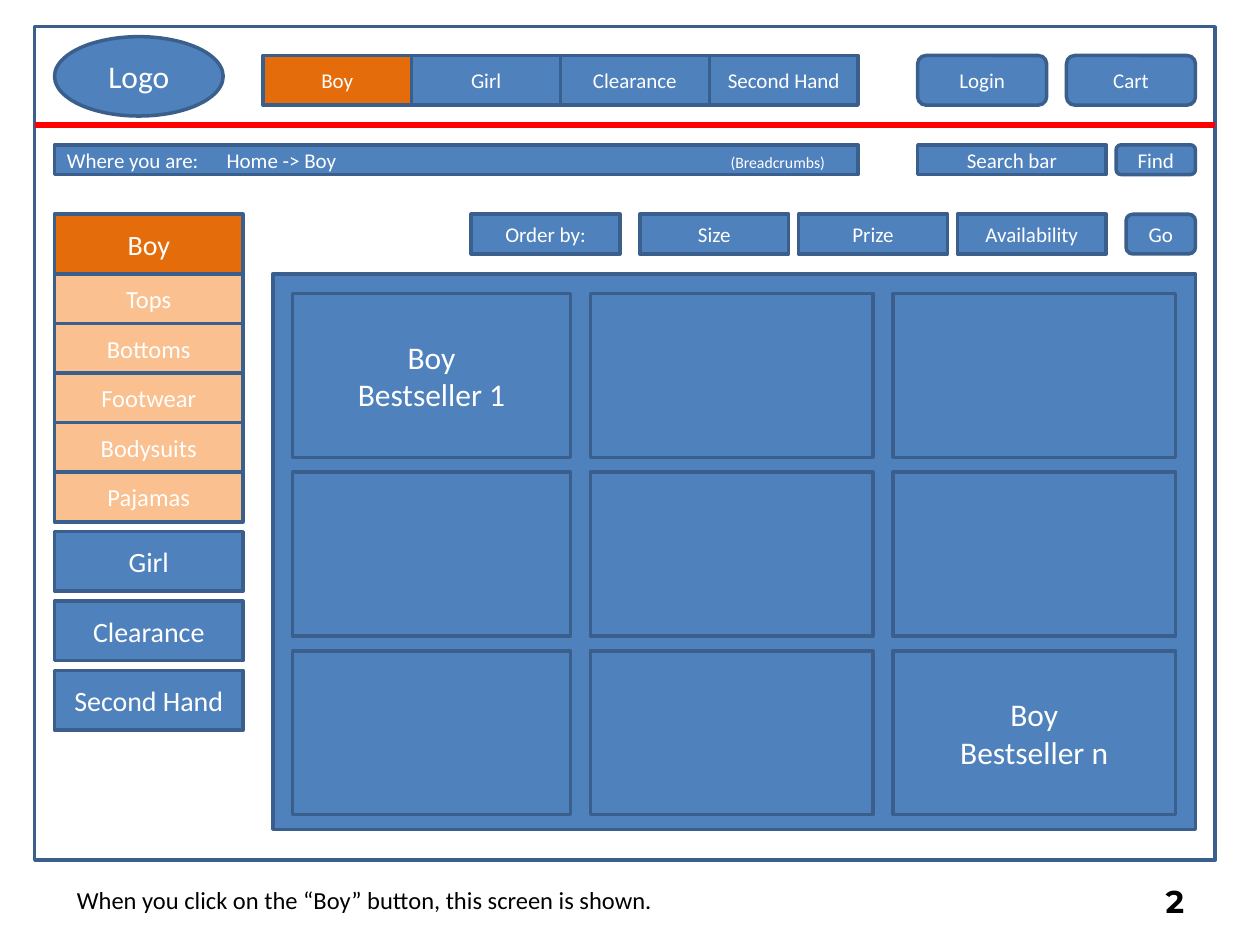
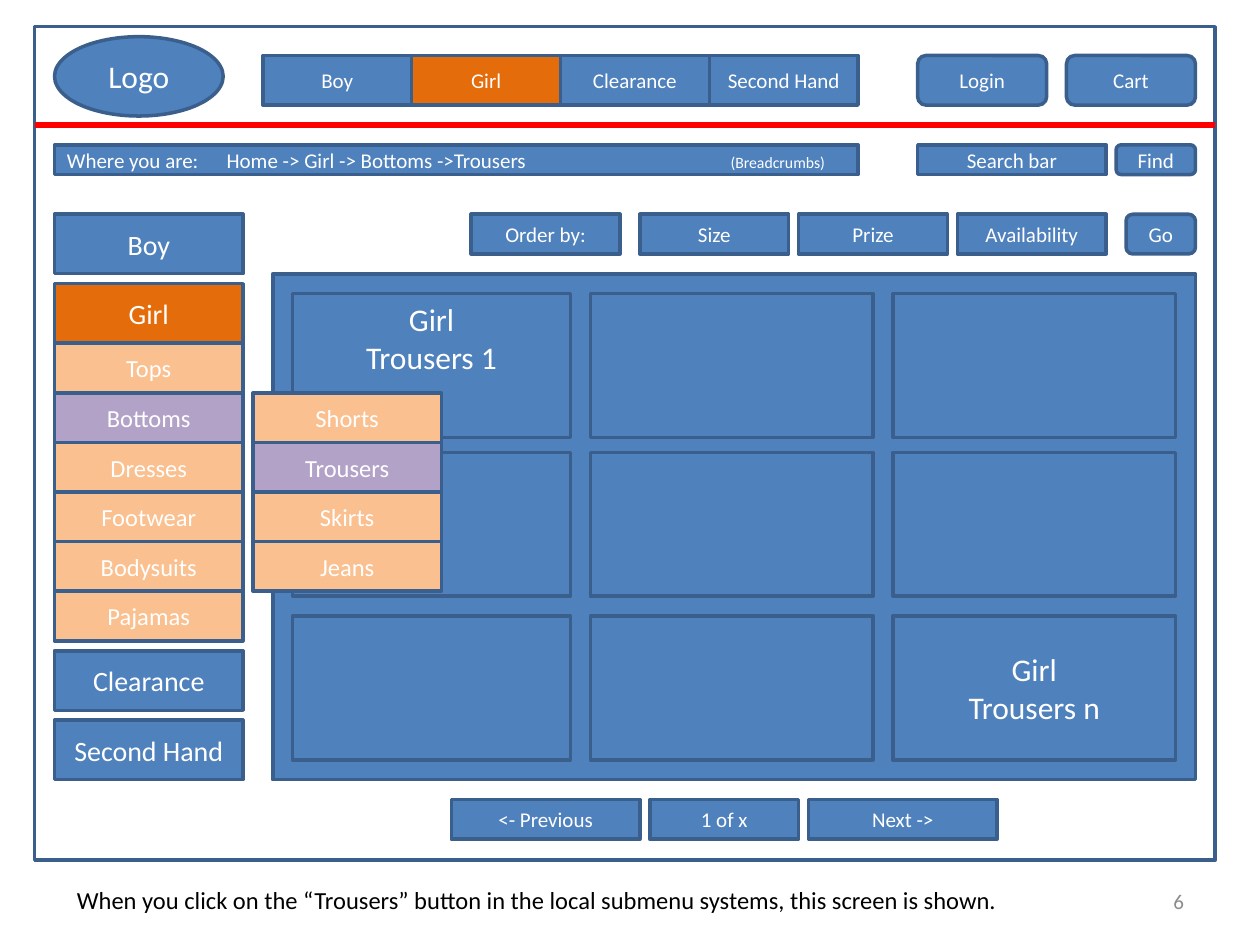
from lxml import etree
from pptx import Presentation
from pptx.dml.color import RGBColor
from pptx.enum.shapes import MSO_CONNECTOR as Link, MSO_SHAPE as Shape
from pptx.enum.text import MSO_ANCHOR as Anchor, PP_ALIGN as Align
from pptx.oxml.ns import qn
from pptx.util import Inches, Pt

PX = 7200  # EMU in one px, so 127 px make an inch
HUES = {"base": "4F81BD", "edge": "3A5F8C", "active": "E46C0A",
        "sub": "FAC090", "picked": "B3A2C7", "rule": "FF0000",
        "light": "FFFFFF", "dark": "000000", "muted": "8C8C8C"}

SCREENS = [
    {"active": "Boy", "crumbs": "Home -> Boy",
     "subs": ["Tops", "Bottoms", "Footwear", "Bodysuits", "Pajamas"],
     "picked": [], "flyout": None, "pager": [],
     "panel": 560, "rows": (296, 476, 656), "cell": 165,
     "item": "Boy\nBestseller",
     "note": "When you click on the “Boy” button, this screen is shown.",
     "page": "2",
     "mark": {"name": "Montserrat", "size": Pt(18), "bold": True},
     "ink": "dark"},
    {"active": "Girl", "crumbs": "Home -> Girl -> Bottoms ->Trousers",
     "subs": ["Tops", "Bottoms", "Dresses", "Footwear", "Bodysuits",
              "Pajamas"],
     "picked": ["Bottoms", "Trousers"],
     "flyout": ("Bottoms", ["Shorts", "Trousers", "Skirts", "Jeans"]),
     "pager": [("<- Previous", 190), ("1 of x", 150), ("Next ->", 190)],
     "panel": 510, "rows": (296, 456, 621), "cell": 145,
     "item": "Girl\nTrousers",
     "note": "When you click on the “Trousers” button in the local "
             "submenu systems, this screen is shown.",
     "page": "6",
     "mark": {"name": "Calibri", "size": Pt(12), "bold": False},
     "ink": "muted"},
]
MENU = ["Boy", "Girl", "Clearance", "Second Hand"]
# label, left, top, width, height
BOXES = [("Search bar", 925, 146, 190, 30),
         ("Order by:", 475, 216, 150, 40),
         ("Size", 645, 216, 150, 40),
         ("Prize", 805, 216, 150, 40),
         ("Availability", 965, 216, 150, 40)]
BUTTONS = [("Login", 925, 56, 130, 50),
           ("Cart", 1075, 56, 130, 50),
           ("Find", 1125, 146, 80, 30),
           ("Go", 1135, 216, 70, 40)]
COLS = [(295, 280), (595, 285), (900, 285)]
LEFT, SIDE, GAP = 55, 190, 10
HEAD, SUB = 60, 50
TABS = [(161, "l"), (764, "r")]


def rgb(hue):
    return RGBColor.from_string(HUES[hue])


def scale(*nums):
    return [n * PX for n in nums]


def style(run, hue, **form):
    for key, val in ({"name": "Calibri"} | form).items():
        setattr(run.font, key, val)
    run.font.color.rgb = rgb(hue)


def write(frame, text, hue, align, **form):
    for i, line in enumerate(text.split("\n")):
        para = frame.add_paragraph() if i else frame.paragraphs[0]
        para.alignment = align
        run = para.add_run()
        run.text = line
        style(run, hue, **form)


def box(slide, text, x, y, w, h, size=12, hue="base", kind=Shape.RECTANGLE):
    """Add an outlined shape with a centred label; no hue leaves it hollow."""
    shape = slide.shapes.add_shape(kind, *scale(x, y, w, h))
    shape.shadow.inherit = False
    if hue:
        shape.fill.solid()
        shape.fill.fore_color.rgb = rgb(hue)
    else:
        shape.fill.background()
    shape.line.color.rgb = rgb("edge")
    shape.line.width = Pt(2)
    shape.text_frame.vertical_anchor = Anchor.MIDDLE
    if text:
        write(shape.text_frame, text, "light", Align.CENTER, size=Pt(size))
    return shape


def label(slide, text, x, y, w, h, hue, align, anchor, **form):
    frame = slide.shapes.add_textbox(*scale(x, y, w, h)).text_frame
    frame.word_wrap = True
    frame.vertical_anchor = anchor
    write(frame, text, hue, align, **form)


def add_rule(slide):
    rule = slide.shapes.add_connector(Link.STRAIGHT,
                                      *scale(35, 126, 1225, 126))
    rule.line.color.rgb = rgb("rule")
    rule.line.width = Pt(3)
    etree.SubElement(rule.element.spPr, qn("a:effectLst"))


def add_crumbs(slide, trail):
    bar = box(slide, "", LEFT, 146, 810, 30)
    para = bar.text_frame.paragraphs[0]
    para.alignment = Align.LEFT
    stops = etree.SubElement(para._p.get_or_add_pPr(), qn("a:tabLst"))
    for pos, side in TABS:
        etree.SubElement(stops, qn("a:tab"), pos=str(pos * PX), algn=side)
    for text, size in [(f"Where you are:\t{trail}\t", 12),
                       ("(Breadcrumbs)", 9)]:
        run = para.add_run()
        run.text = text
        style(run, "light", size=Pt(size))


def add_header(slide, screen):
    box(slide, "", 35, 27, 1190, 840, hue=None)
    box(slide, "Logo", LEFT, 37, 170, 80, 18, kind=Shape.OVAL)
    for i, name in enumerate(MENU):
        hue = "active" if name == screen["active"] else "base"
        box(slide, name, 265 + 150 * i, 56, 150, 50, hue=hue)
    add_rule(slide)
    add_crumbs(slide, screen["crumbs"])
    for part in BOXES:
        box(slide, *part)
    for part in BUTTONS:
        box(slide, *part, kind=Shape.ROUNDED_RECTANGLE)


def add_goods(slide, screen):
    box(slide, "", 275, 276, 930, screen["panel"])
    cells = [(x, y, w) for y in screen["rows"] for x, w in COLS]
    ends = {0: "1", len(cells) - 1: "n"}
    for i, (x, y, w) in enumerate(cells):
        text = f"{screen['item']} {ends[i]}" if i in ends else ""
        cell = box(slide, text, x, y, w, screen["cell"], 18)
        if i == 0 and screen["flyout"]:
            # Keep the label above the flyout
            cell.text_frame.vertical_anchor = Anchor.TOP


def add_subs(slide, names, x, y, picked):
    """Stack submenu entries from y down and return the top of each."""
    tops = {name: y + SUB * i for i, name in enumerate(names)}
    for name, top in tops.items():
        hue = "picked" if name in picked else "sub"
        box(slide, name, x, top, SIDE, SUB, 14, hue)
    return tops


def add_menu(slide, screen):
    y = 216
    for name in MENU:
        live = name == screen["active"]
        box(slide, name, LEFT, y, SIDE, HEAD, 16,
            "active" if live else "base")
        y += HEAD
        if live:
            tops = add_subs(slide, screen["subs"], LEFT, y, screen["picked"])
            y += SUB * len(tops)
        y += GAP
    if screen["flyout"]:
        owner, names = screen["flyout"]
        add_subs(slide, names, LEFT + SIDE + GAP, tops[owner],
                 screen["picked"])


def add_footer(slide, screen):
    x = 455
    for text, w in screen["pager"]:
        box(slide, text, x, 806, w, 40)
        x += w + GAP
    label(slide, screen["note"], 65, 886, 1170, 43, "dark", Align.LEFT,
          Anchor.TOP, size=Pt(14))
    label(slide, screen["page"], 910, 883, 296, 51, screen["ink"],
          Align.RIGHT, Anchor.MIDDLE, **screen["mark"])


def main():
    deck = Presentation()
    deck.slide_width, deck.slide_height = Inches(10), Inches(7.5)
    for screen in SCREENS:
        slide = deck.slides.add_slide(deck.slide_layouts[6])
        for add in (add_header, add_goods, add_menu, add_footer):
            add(slide, screen)
    deck.save("out.pptx")


if __name__ == "__main__":
    main()
